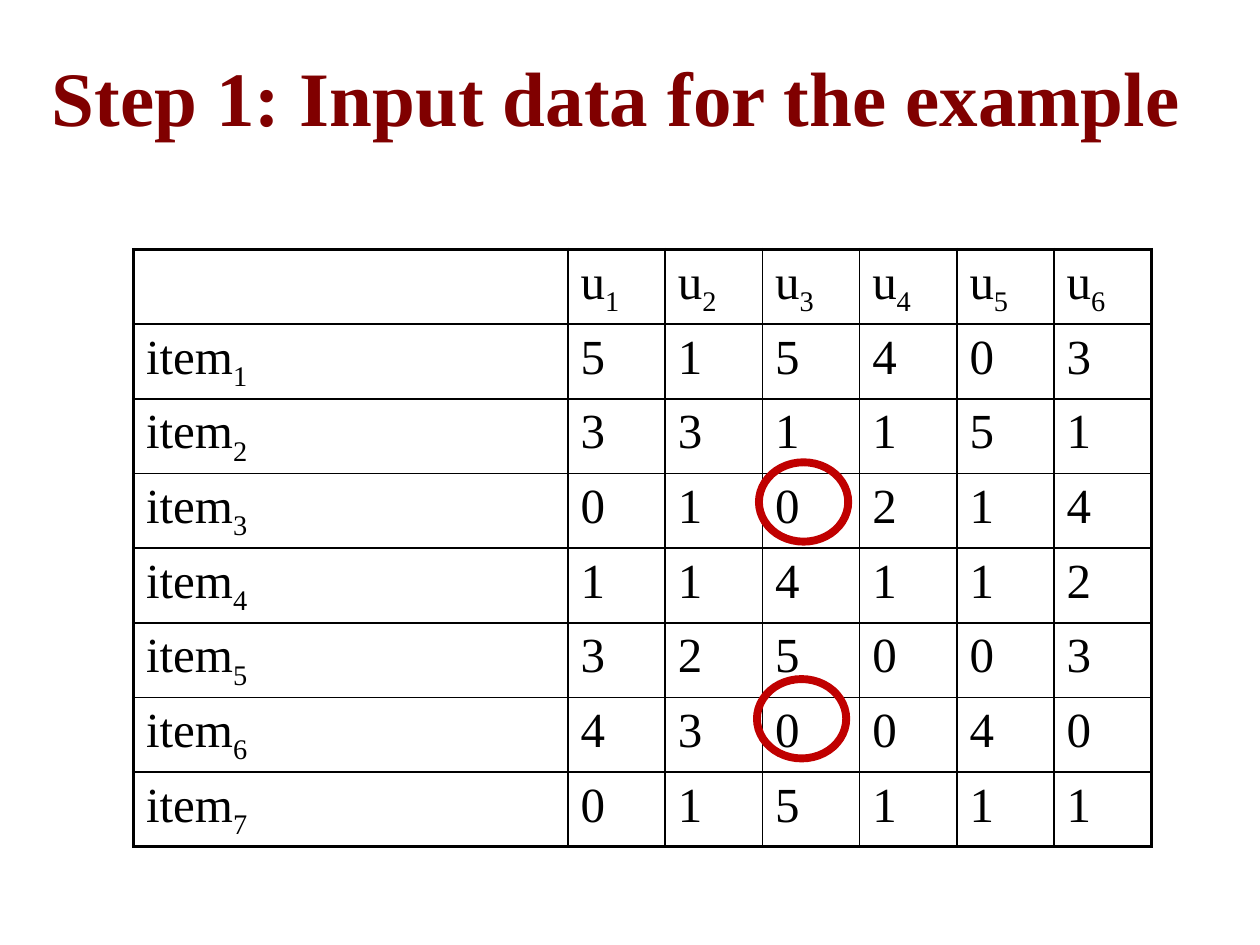
from lxml.etree import SubElement
from pptx import Presentation
from pptx.dml.color import RGBColor
from pptx.enum.shapes import MSO_SHAPE
from pptx.enum.text import MSO_ANCHOR, PP_ALIGN
from pptx.oxml.ns import qn
from pptx.util import Cm, Pt

MAROON = RGBColor(0x80, 0x00, 0x00)
RED = RGBColor(0xC0, 0x00, 0x00)
BLACK = RGBColor(0x00, 0x00, 0x00)

RATINGS = [
    [5, 1, 5, 4, 0, 3],
    [3, 3, 1, 1, 5, 1],
    [0, 1, 0, 2, 1, 4],
    [1, 1, 4, 1, 1, 2],
    [3, 2, 5, 0, 0, 3],
    [4, 3, 0, 0, 4, 0],
    [0, 1, 5, 1, 1, 1],
]


class SlideBuilder:
    font = "Times New Roman"
    thin, thick = Pt(1), Pt(2.25)

    def __init__(self, prs):
        self.s = prs.slides.add_slide(prs.slide_layouts[5])

    def run(self, p, text, size, color, bold=False, subscript=False):
        r = p.add_run()
        r.text = text
        r.font.name, r.font.size, r.font.bold = self.font, Pt(size), bold
        r.font.color.rgb = color
        if subscript:
            r._r.get_or_add_rPr().set("baseline", "-25000")

    def title(self, text, left, top, width, height):
        sp = self.s.shapes.title
        sp.left, sp.top, sp.width, sp.height = map(Cm, (left, top, width, height))
        tf = sp.text_frame
        tf.word_wrap = True
        tf.vertical_anchor = MSO_ANCHOR.MIDDLE
        p = tf.paragraphs[0]
        p.alignment = PP_ALIGN.CENTER
        self.run(p, text, 44, MAROON, bold=True)

    def border(self, cell, side, width):
        ln = SubElement(cell._tc.get_or_add_tcPr(), qn(f"a:ln{side}"), w=str(width))
        fill = SubElement(ln, qn("a:solidFill"))
        SubElement(fill, qn("a:srgbClr"), val=str(BLACK))

    def table(self, rows, left, top, col_widths, row_height):
        """Each entry of rows is a (text, subscript) pair."""
        n_rows, n_cols = len(rows), len(col_widths)
        table = self.s.shapes.add_table(
            n_rows, n_cols, Cm(left), Cm(top),
            Cm(sum(col_widths)), Cm(row_height * n_rows)).table
        table.first_row = table.horz_banding = False
        for column, width in zip(table.columns, col_widths):
            column.width = Cm(width)
        for i, row in enumerate(rows):
            table.rows[i].height = Cm(row_height)
            for j, (text, index) in enumerate(row):
                cell = table.cell(i, j)
                p = cell.text_frame.paragraphs[0]
                if text:
                    self.run(p, text, 28, BLACK)
                if index:
                    self.run(p, index, 28, BLACK, subscript=True)
                # Thick frame outside, thin grid inside
                outer = {"L": j == 0, "R": j == n_cols - 1,
                         "T": i == 0, "B": i == n_rows - 1}
                for side, is_outer in outer.items():
                    self.border(cell, side, self.thick if is_outer else self.thin)
                cell.fill.background()

    def ring(self, left, top, width, height):
        sp = self.s.shapes.add_shape(
            MSO_SHAPE.OVAL, Cm(left), Cm(top), Cm(width), Cm(height))
        sp.shadow.inherit = False
        sp.fill.background()
        sp.line.color.rgb = RED
        sp.line.width = Pt(4.5)


prs = Presentation()
prs.slide_width, prs.slide_height = Cm(25.4), Cm(19.05)
slide = SlideBuilder(prs)

# Title
slide.title("Step 1: Input data for the example ", 0.51, 0.33, 24.21, 3.18)

# Ratings of each item by each user
header = [("", "")] + [("u", str(n)) for n in range(1, 7)]
body = [[("item", str(n))] + [(str(v), "") for v in values]
        for n, values in enumerate(RATINGS, 1)]
slide.table([header] + body, 2.69, 5.03, [8.76] + [1.96] * 6, 1.44)

# Rings around the missing ratings of user 3
for left, top in ((15.3, 9.32), (15.26, 13.69)):
    slide.ring(left, top, 1.8, 1.6)

prs.save("out.pptx")
